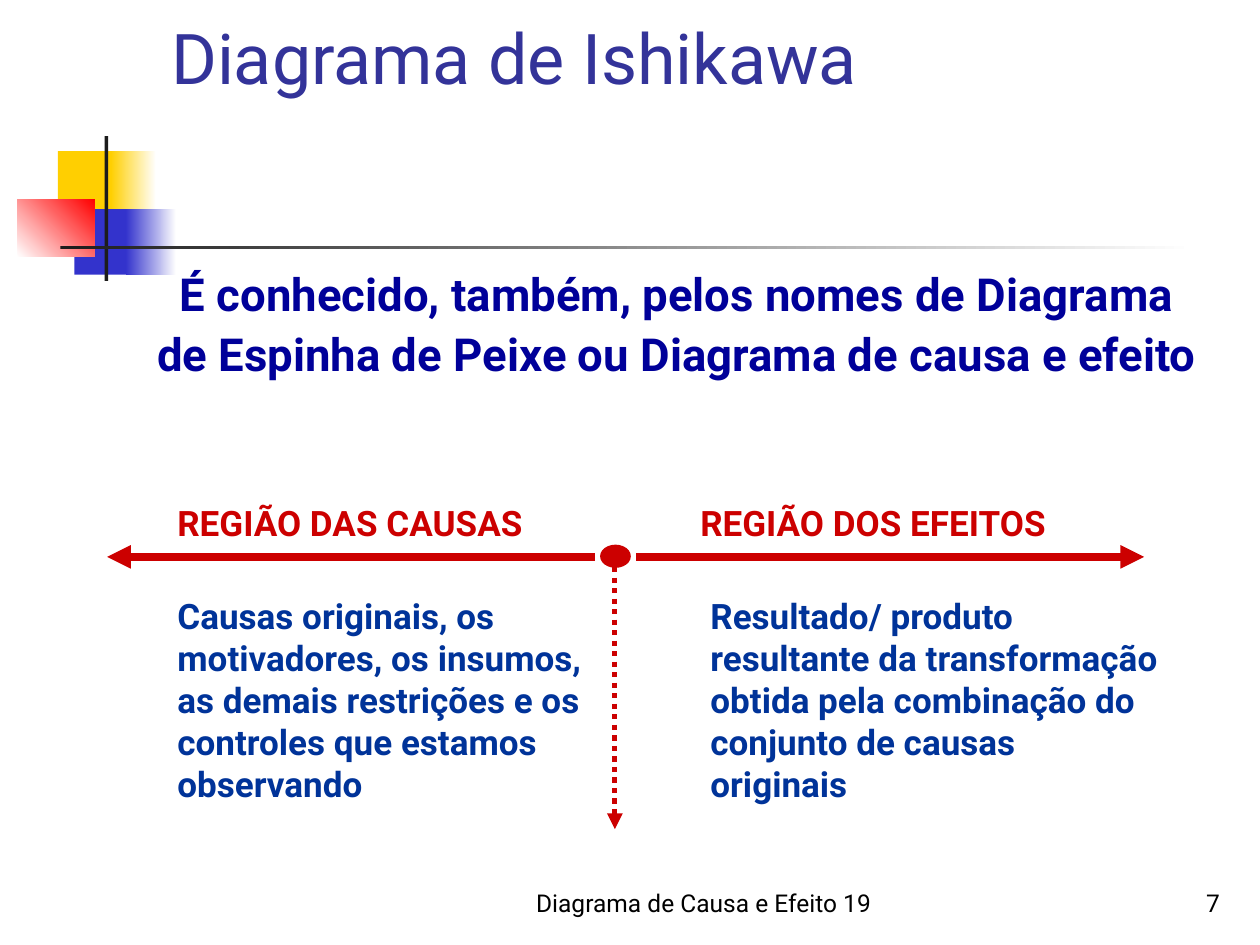
from lxml.etree import SubElement
from pptx import Presentation
from pptx.dml.color import RGBColor
from pptx.enum.dml import MSO_LINE_DASH_STYLE as Dash
from pptx.enum.shapes import MSO_AUTO_SHAPE_TYPE as ShapeType, MSO_CONNECTOR_TYPE as ConnectorType
from pptx.enum.text import MSO_ANCHOR as Anchor, MSO_AUTO_SIZE as AutoSize, PP_ALIGN as Align
from pptx.oxml.ns import qn
from pptx.util import Inches, Pt

FONT = "Roboto"
BLACK = RGBColor(0x00, 0x00, 0x00)
WHITE = RGBColor(0xFF, 0xFF, 0xFF)
CHARCOAL = RGBColor(0x1C, 0x1C, 0x1C)
YELLOW = RGBColor(0xFF, 0xCF, 0x01)
BLUE = RGBColor(0x33, 0x33, 0xCC)
RED = RGBColor(0xFF, 0x00, 0x00)
TITLE_BLUE = RGBColor(0x33, 0x33, 0x99)
NAVY = RGBColor(0x00, 0x00, 0x99)
BODY_BLUE = RGBColor(0x00, 0x33, 0x99)
ARROW_RED = RGBColor(0xCC, 0x00, 0x00)


def add_block(shapes, box, start, end=None, angle=0, kind=ShapeType.RECTANGLE):
    shape = shapes.add_shape(kind, *map(Inches, box))
    shape.shadow.inherit = False
    shape.line.fill.background()
    if end is None:
        shape.fill.solid()
        shape.fill.fore_color.rgb = start
    else:
        shape.fill.gradient()
        shape.fill.gradient_angle = angle
        for stop, color in zip(shape.fill.gradient_stops, (start, end)):
            stop.color.rgb = color
    return shape


def add_arrow(shapes, start, end, width, dash=None):
    connector = shapes.add_connector(ConnectorType.STRAIGHT, *map(Inches, start + end))
    connector.line.color.rgb = ARROW_RED
    connector.line.width = Pt(width)
    if dash is not None:
        connector.line.dash_style = dash
    SubElement(connector.line._get_or_add_ln(), qn("a:tailEnd"), type="triangle")
    SubElement(connector._element.spPr, qn("a:effectLst"))


def add_text(shapes, box, text, size, color, bold=False, align=Align.LEFT,
             anchor=Anchor.TOP, spacing=None, before=None, grow=False):
    text_box = shapes.add_textbox(*map(Inches, box))
    frame = text_box.text_frame
    frame.text = text
    frame.word_wrap = True
    frame.vertical_anchor = anchor
    if grow:
        frame.auto_size = AutoSize.SHAPE_TO_FIT_TEXT
    paragraph = frame.paragraphs[0]
    paragraph.alignment = align
    if spacing is not None:
        paragraph.line_spacing = spacing
    if before is not None:
        paragraph.space_before = Pt(before)
    font = paragraph.runs[0].font
    font.name = FONT
    font.size = Pt(size)
    font.bold = bold
    font.color.rgb = color


def add_ornament(shapes):
    add_block(shapes, (0.46, 1.2, 0.48, 0.52), YELLOW)
    add_block(shapes, (0.88, 1.2, 0.36, 0.52), YELLOW, WHITE)
    add_block(shapes, (0.59, 1.66, 0.46, 0.52), BLUE)
    add_block(shapes, (1, 1.66, 0.4, 0.52), BLUE, WHITE)
    add_block(shapes, (0.14, 1.58, 0.61, 0.46), WHITE, RED, angle=45)
    add_block(shapes, (0.83, 1.08, 0.03, 1.15), CHARCOAL)
    add_block(shapes, (0.48, 1.95, 9, 0.03), CHARCOAL, WHITE)


def add_regions(shapes):
    axis = 4.42
    add_arrow(shapes, (4.72, axis), (0.85, axis), 4.5)
    add_arrow(shapes, (5.05, axis), (9.08, axis), 4.5)
    hub = add_block(shapes, (4.77, 4.33, 0.23, 0.17), ARROW_RED, kind=ShapeType.OVAL)
    hub.line.color.rgb = ARROW_RED
    hub.line.width = Pt(1)
    add_arrow(shapes, (4.88, 4.5), (4.88, 6.58), 3, Dash.ROUND_DOT)

    regions = (
        ("REGIÃO DAS CAUSAS", (1.31, 3.83, 3, 0.97),
         "Causas originais, os motivadores, os insumos, as demais restrições "
         "e os controles que estamos observando", (1.31, 4.67, 3.5, 1.77)),
        ("REGIÃO DOS EFEITOS", (5.46, 3.83, 3.46, 0.54),
         "Resultado/ produto resultante da transformação obtida pela "
         "combinação do conjunto de causas originais", (5.54, 4.67, 3.77, 2.1)),
    )
    for heading, heading_box, description, description_box in regions:
        add_text(shapes, heading_box, heading, 20, ARROW_RED, bold=True,
                 spacing=1.3, before=12.5, grow=True)
        add_text(shapes, description_box, description, 20, BODY_BLUE, bold=True,
                 before=12.5, grow=True)


def main():
    presentation = Presentation()
    presentation.slide_width = Inches(10)
    presentation.slide_height = Inches(7.5)
    slide = presentation.slides.add_slide(presentation.slide_layouts[6])
    shapes = slide.shapes

    add_ornament(shapes)
    add_text(shapes, (4, 6.83, 3.17, 0.5), "Diagrama de Causa e Efeito 19", 14, BLACK,
             align=Align.CENTER, anchor=Anchor.BOTTOM)
    add_text(shapes, (7.7, 6.83, 2.08, 0.5), "7", 14, BLACK,
             align=Align.RIGHT, anchor=Anchor.BOTTOM)
    add_text(shapes, (1.14, 2.02, 8.47, 1.53),
             "É conhecido, também, pelos nomes de Diagrama de Espinha de Peixe "
             "ou Diagrama de causa e efeito", 26, NAVY, bold=True,
             align=Align.CENTER, spacing=1.1, before=16.2, grow=True)
    add_regions(shapes.add_group_shape().shapes)
    add_text(shapes, (1.26, 0.23, 8.52, 0.6), "Diagrama de Ishikawa", 40,
             TITLE_BLUE, anchor=Anchor.BOTTOM)

    presentation.save("out.pptx")


if __name__ == "__main__":
    main()
